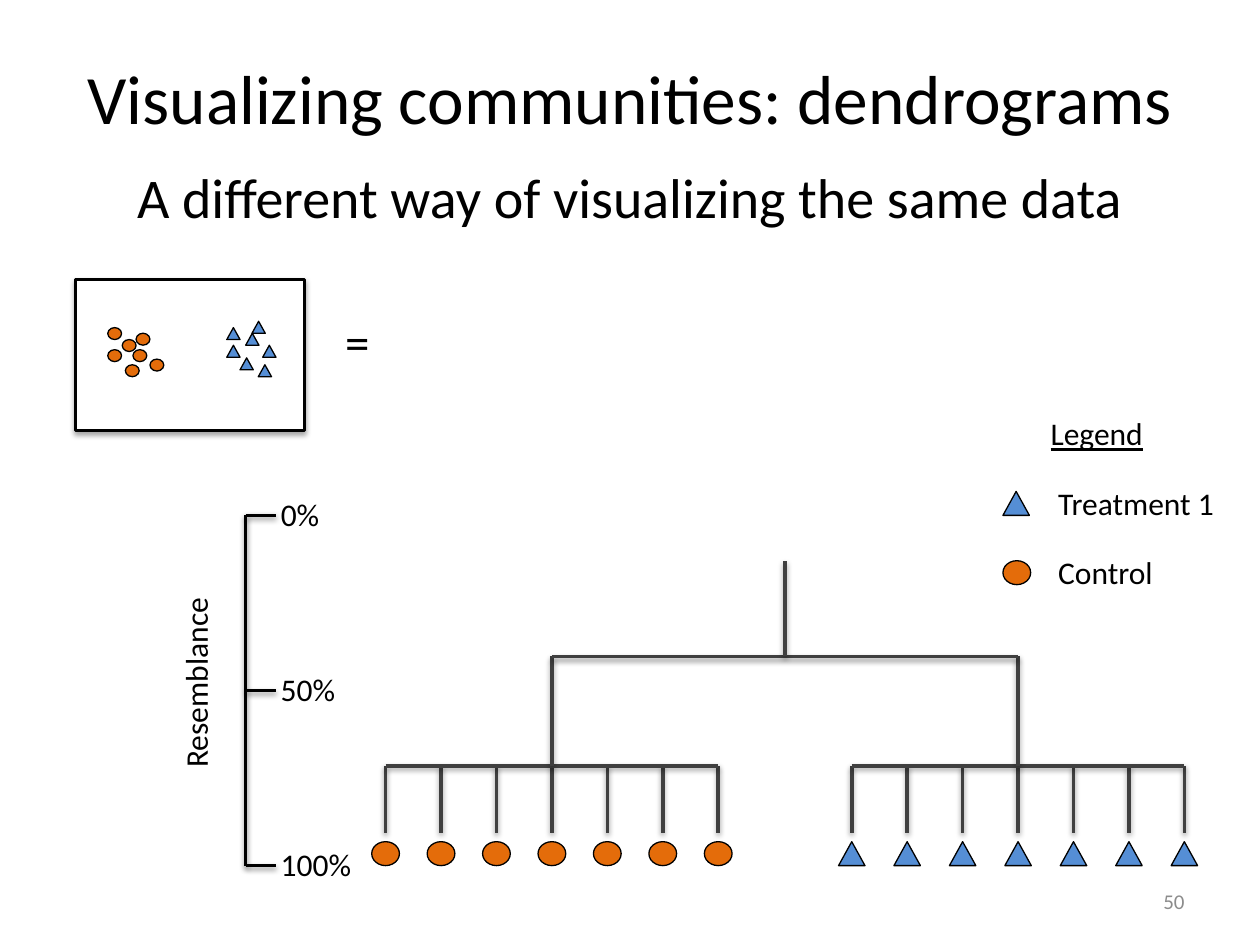
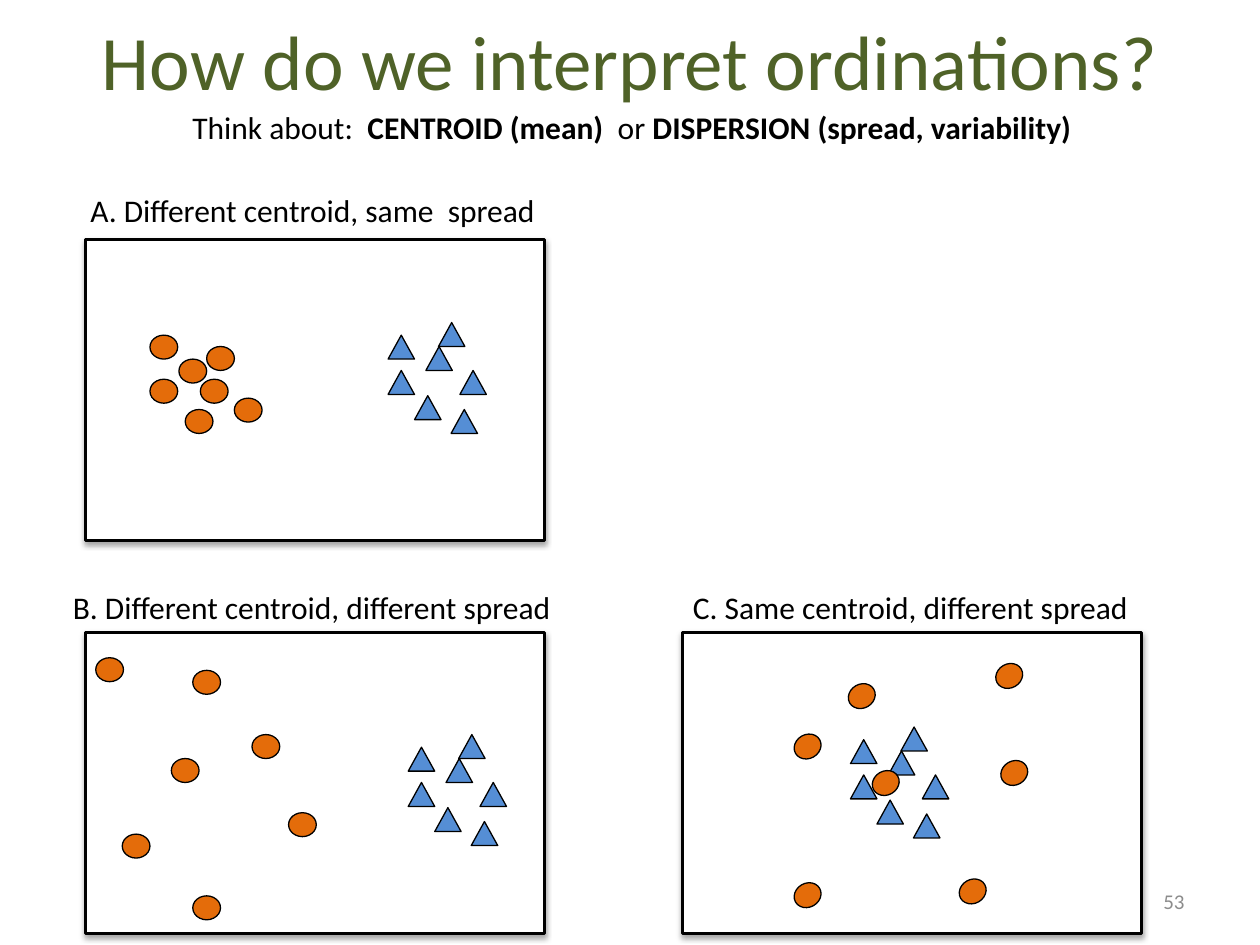
from lxml import etree
from pptx import Presentation
from pptx.dml.color import RGBColor as Rgb
from pptx.enum.shapes import MSO_CONNECTOR as Link, MSO_SHAPE as Kind
from pptx.enum.text import MSO_ANCHOR as Anchor, PP_ALIGN as Align
from pptx.oxml import parse_xml
from pptx.util import Inches, Pt

COLORS = {
    "ink": "000000",
    "paper": "FFFFFF",
    "green": "4F6228",
    "gray": "8C8C8C",
    "branch": "404040",
    "control": "E46C0A",
    "treated": "558ED5",
}
FONT = "Calibri"
DRAWING = "http://schemas.openxmlformats.org/drawingml/2006/main"

# Marker kinds: preset shape, width, height
MARKS = {
    "control": (Kind.OVAL, 0.22, 0.19),
    "treated": (Kind.ISOSCELES_TRIANGLE, 0.21, 0.19),
}

# Marker places, measured from the corner of a full-size frame
FRAME = (3.64, 2.39)
TIGHT = [(0.74, 0.95), (0.91, 1.11), (0.96, 0.85), (0.79, 1.35),
         (1.18, 1.26), (0.51, 0.76), (0.51, 1.11)]
LOOSE = [(0.68, 1.0), (1.32, 0.81), (0.85, 0.3), (0.85, 2.09),
         (1.61, 1.43), (0.08, 0.2), (0.29, 1.6)]
RING = [(1.5, 1.1), (2.48, 0.25), (1.31, 0.41), (2.19, 1.96),
        (2.52, 1.02), (0.88, 0.81), (0.88, 1.99)]
TREATED = [(2.8, 0.66), (2.4, 0.76), (2.7, 0.85), (2.4, 1.04),
           (2.97, 1.04), (2.61, 1.24), (2.9, 1.35)]

LEAVES, STEP = 7, 0.44
JOIN, FORK, ROOT = 6.08, 5.21, 4.45


def shade(name):
    return Rgb.from_string(COLORS[name])


def move(points, dx, dy):
    return [(x + dx, y + dy) for x, y in points]


def add_shadow(shape, alpha, dist):
    """Give a shape or line a soft shadow that falls straight down."""
    shape._element.spPr.append(parse_xml(
        f'<a:effectLst xmlns:a="{DRAWING}">'
        f'<a:outerShdw blurRad="{Pt(3.1)}" dist="{Pt(dist)}" dir="5400000" rotWithShape="0">'
        f'<a:srgbClr val="{COLORS["ink"]}"><a:alpha val="{alpha * 1000}"/></a:srgbClr>'
        '</a:outerShdw></a:effectLst>'))


def add_text(slide, box, runs, size=18, color="ink", align=Align.LEFT,
             anchor=Anchor.TOP, wrap=True, turn=0):
    """Runs are (text, style) pairs; style is "bold", "underline" or None."""
    shape = slide.shapes.add_textbox(*map(Inches, box))
    shape.rotation = turn
    frame = shape.text_frame
    frame.word_wrap = wrap
    frame.vertical_anchor = anchor
    para = frame.paragraphs[0]
    para.alignment = align
    for words, style in runs:
        run = para.add_run()
        run.text = words
        font = run.font
        font.name, font.size = FONT, Pt(size)
        font.color.rgb = shade(color)
        if style:
            setattr(font, style, True)


def add_label(slide, box, words, style=None, size=18, turn=0):
    add_text(slide, box, [(words, style)], size, wrap=False, turn=turn)


def add_title(slide, box, words, size, color="ink"):
    add_text(slide, box, [(words, None)], size, color, Align.CENTER, Anchor.MIDDLE)


def add_number(slide, number):
    add_text(slide, (7.17, 6.95, 2.33, 0.4), [(str(number), None)], 12, "gray",
             Align.RIGHT, Anchor.MIDDLE)


def add_solid(slide, kind, box, fill, width):
    shape = slide.shapes.add_shape(kind, *map(Inches, box))
    shape.fill.solid()
    shape.fill.fore_color.rgb = shade(fill)
    shape.line.color.rgb = shade("ink")
    shape.line.width = Pt(width)
    return shape


def add_mark(slide, group, x, y, scale=1, turn=0):
    kind, w, h = MARKS[group]
    mark = add_solid(slide, kind, (x, y, w * scale, h * scale), group, 0.75)
    mark.shadow.inherit = False
    mark.rotation = turn


def add_plot(slide, x, y, groups, scale=1, turn=0):
    """Draw a framed ordination; groups are (group, points), back to front."""
    box = (x, y, FRAME[0] * scale, FRAME[1] * scale)
    add_shadow(add_solid(slide, Kind.RECTANGLE, box, "paper", 1.75), 35, 1.8)
    for group, points in groups:
        for dx, dy in points:
            add_mark(slide, group, x + dx * scale, y + dy * scale, scale,
                     turn if group == "control" else 0)


def add_line(slide, start, end, color="branch"):
    line = slide.shapes.add_connector(Link.STRAIGHT, *map(Inches, start + end))
    line.line.color.rgb = shade(color)
    line.line.width = Pt(2)
    add_shadow(line, 38, 1.6)


def add_clade(slide, group, left):
    """Draw one branch with its leaves and return the x of its middle."""
    right = left + (LEAVES - 1) * STEP
    middle = (left + right) / 2
    for i in range(LEAVES):
        x = left + i * STEP
        add_line(slide, (x, 6.61), (x, JOIN))
        add_mark(slide, group, x - MARKS[group][1] / 2, 6.68)
    add_line(slide, (left, JOIN), (right, JOIN))
    add_line(slide, (middle, JOIN), (middle, FORK))
    return middle


def add_tree(slide):
    left = add_clade(slide, "control", 3.06)
    right = add_clade(slide, "treated", 6.76)
    trunk = (left + right) / 2
    add_line(slide, (left, FORK), (right, FORK))
    add_line(slide, (trunk, FORK), (trunk, ROOT))


def add_scale(slide):
    top, low, x = 4.09, 6.87, 1.95
    add_line(slide, (x, low), (x, top), "ink")
    for part, wide in ((0, 0.51), (50, 0.64), (100, 0.77)):
        y = top + (low - top) * part / 100
        add_line(slide, (x, y), (x + 0.24, y), "ink")
        add_label(slide, (2.13, y - 0.21, wide, 0.4), f"{part}%")
    add_label(slide, (0.77, 5.21, 1.56, 0.4), "Resemblance", turn=270)


def add_legend(slide):
    add_label(slide, (8.24, 3.24, 0.94, 0.4), "Legend", "underline")
    for group, words, y, wide in (("treated", "Treatment 1", 3.79, 1.45),
                                  ("control", "Control", 4.34, 0.96)):
        add_mark(slide, group, 7.96, y + 0.11)
        add_label(slide, (8.3, y, wide, 0.4), words)


def build_tree(slide):
    add_title(slide, (0.5, 0.14, 9, 1.25), "Visualizing communities: dendrograms", 39.6)
    add_text(slide, (0.5, 1.24, 9, 0.73),
             [("A different way of visualizing the same data", None)], 32,
             align=Align.CENTER)
    add_plot(slide, 0.6, 2.22, [("control", TIGHT), ("treated", TREATED)], 0.5)
    add_label(slide, (2.64, 2.42, 0.4, 0.57), "=", size=28)
    add_legend(slide)
    add_tree(slide)
    add_scale(slide)
    add_number(slide, 50)


def build_plots(slide):
    add_title(slide, (0, -0.15, 10, 1.25), "How do we interpret ordinations?", 44, "green")
    add_text(slide, (0.67, 0.81, 8.69, 0.4),
             [("Think about:  ", None), ("CENTROID (mean)  ", "bold"), ("or ", None),
              ("DISPERSION (spread, variability)", "bold")], align=Align.CENTER)
    add_plot(slide, 0.68, 1.9, [("control", TIGHT), ("treated", TREATED)])
    add_plot(slide, 0.68, 5.02,
             [("control", LOOSE), ("treated", move(TREATED, 0.16, 0.15))])
    add_plot(slide, 5.42, 5.02,
             [("treated", move(TREATED, -1.07, 0.09)), ("control", RING)], turn=330.4)
    for x, y, wide, words in (
            (0.62, 1.47, 3.76, "A. Different centroid, same  spread"),
            (0.48, 4.62, 4.03, "B. Different centroid, different spread"),
            (5.4, 4.62, 3.69, "C. Same centroid, different spread")):
        add_label(slide, (x, y, wide, 0.4), words)
    add_number(slide, 53)


def main():
    deck = Presentation()
    deck.slide_width, deck.slide_height = Inches(10), Inches(7.5)
    blank = deck.slide_layouts[6]
    for build in (build_tree, build_plots):
        build(deck.slides.add_slide(blank))
    deck.save("out.pptx")


if __name__ == "__main__":
    main()
